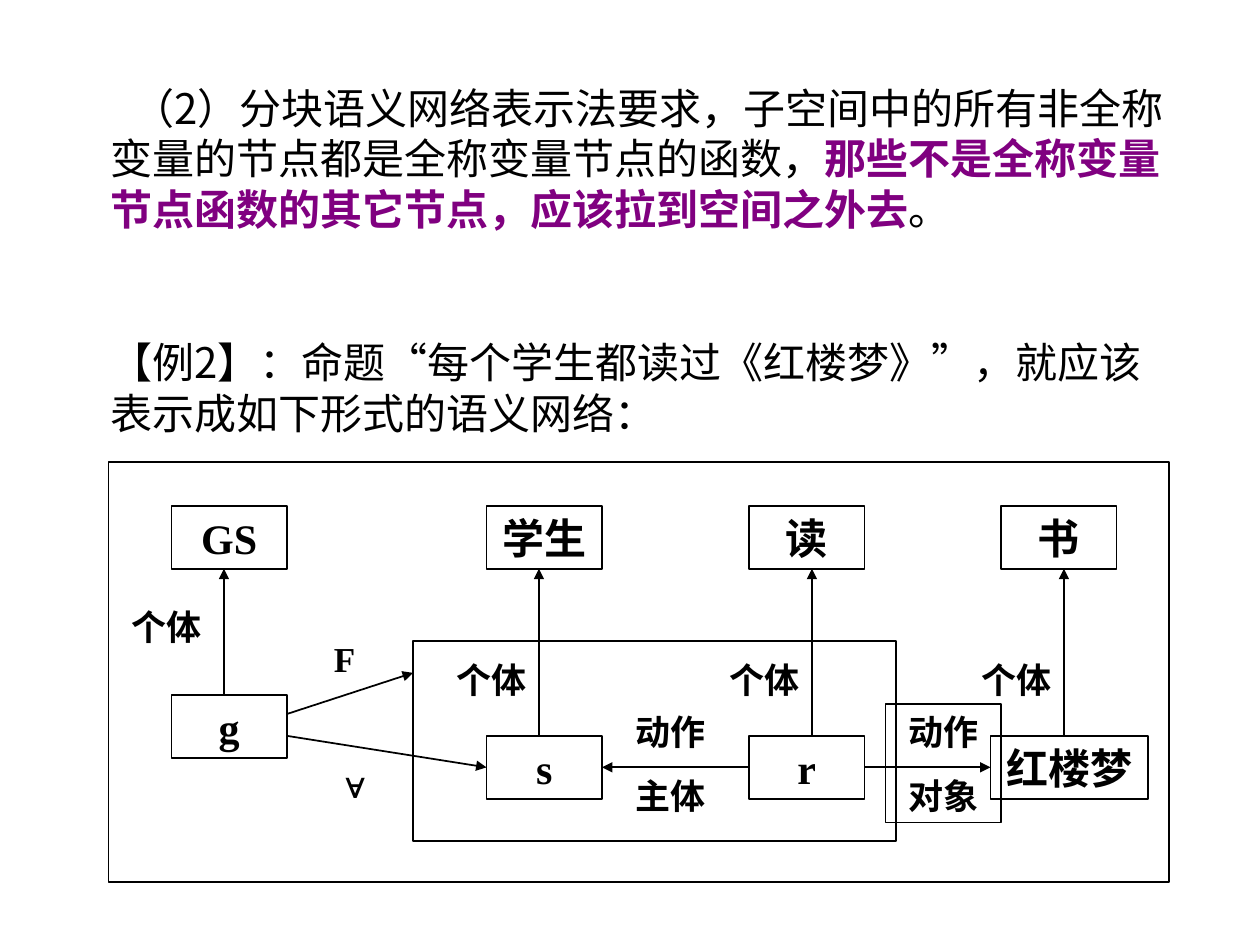
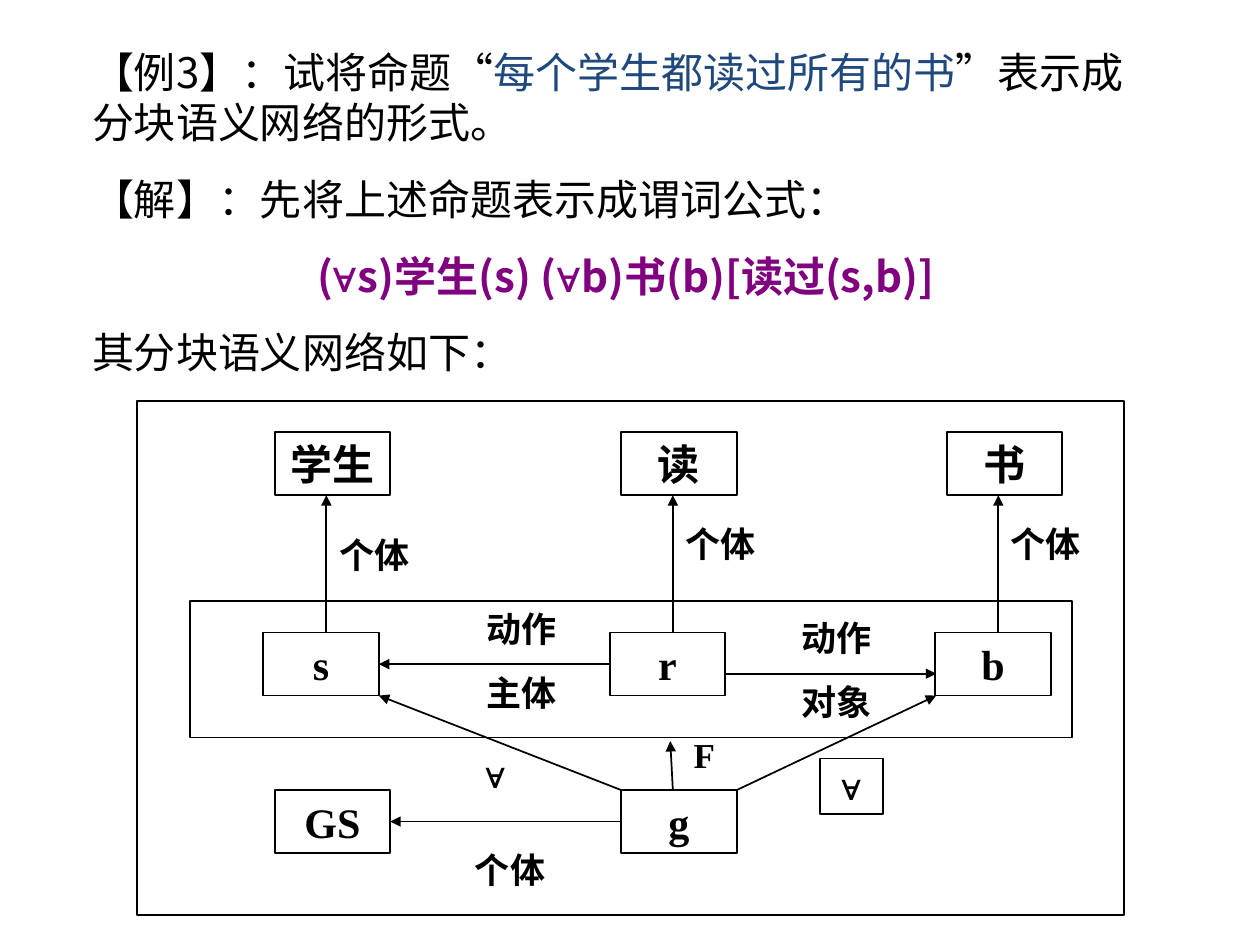
from lxml import etree
from pptx import Presentation
from pptx.dml.color import RGBColor
from pptx.enum.shapes import MSO_CONNECTOR, MSO_SHAPE
from pptx.enum.text import MSO_ANCHOR, PP_ALIGN
from pptx.oxml.ns import qn
from pptx.util import Pt

RECT = MSO_SHAPE.RECTANGLE
STRAIGHT = MSO_CONNECTOR.STRAIGHT
TOP, MIDDLE = MSO_ANCHOR.TOP, MSO_ANCHOR.MIDDLE
LEFT, CENTER = PP_ALIGN.LEFT, PP_ALIGN.CENTER
SIDE_LEFT, SIDE_RIGHT = 1, 3

BLACK, PURPLE, BLUE = "000000", "800080", "1F497D"
BODY, SERIF, SYMBOL = "Noto Sans CJK SC", "Times New Roman", "Arial"
BODY_SIZE, NODE_SIZE, LABEL_SIZE = 24, 24, 20
NODE_W, NODE_H = 66, 36


def rgb(color):
    return RGBColor.from_string(color)


def set_typeface(font, props, latin, asian):
    font.name = latin
    etree.SubElement(props, qn("a:ea")).set("typeface", asian)


class Deck:
    def __init__(self):
        self.prs = Presentation()
        self.prs.slide_width, self.prs.slide_height = Pt(720), Pt(540)
        self.s = None

    def new_slide(self):
        self.s = self.prs.slides.add_slide(self.prs.slide_layouts[6])

    def frame(self, x, y, w, h):
        """Outlined rectangle without fill."""
        sp = self.s.shapes.add_shape(RECT, Pt(x), Pt(y), Pt(w), Pt(h))
        sp.shadow.inherit = False
        sp.fill.background()
        sp.line.color.rgb = rgb(BLACK)
        sp.line.width = Pt(1)
        return sp

    def style(self, p, size, name, bold, align, before):
        p.alignment = align
        p.line_spacing = Pt(1.2 * size)
        p.space_before = Pt(before)
        p.font.size = Pt(size)
        p.font.bold = bold
        p.font.color.rgb = rgb(BLACK)
        props = p._p.pPr.find(qn("a:defRPr"))
        set_typeface(p.font, props, name, SYMBOL if name == SYMBOL else BODY)

    def caption(self, sp, lines, size):
        """Bold centred lines inside a node or a label."""
        tf = sp.text_frame
        tf.word_wrap = True
        tf.vertical_anchor = MIDDLE
        tf.text = "\n".join(lines)
        for i, p in enumerate(tf.paragraphs):
            name = SYMBOL if p.text == "∀" else SERIF
            self.style(p, size, name, True, CENTER, 12.5 if i else 0)

    def node(self, text, x, y, w=NODE_W):
        sp = self.frame(x, y, w, NODE_H)
        self.caption(sp, [text], NODE_SIZE)
        return sp

    def label(self, x, y, *lines, w=66, boxed=False):
        box = (x, y, w, 31.5 + 36 * (len(lines) - 1))
        if boxed:
            sp = self.frame(*box)
        else:
            sp = self.s.shapes.add_textbox(*map(Pt, box))
        self.caption(sp, lines, LABEL_SIZE)

    def body(self, x, y, w, h, paragraphs):
        """Each paragraph is (space before, indent, alignment, runs)."""
        tf = self.s.shapes.add_textbox(Pt(x), Pt(y), Pt(w), Pt(h)).text_frame
        tf.word_wrap = True
        tf.vertical_anchor = TOP
        for i, (before, indent, align, runs) in enumerate(paragraphs):
            p = tf.add_paragraph() if i else tf.paragraphs[0]
            self.style(p, BODY_SIZE, BODY, False, align, before)
            if indent:
                p._p.pPr.set("indent", str(Pt(indent)))
            for text, color, bold in runs:
                r = p.add_run()
                r.text = text
                if color != BLACK:
                    r.font.color.rgb = rgb(color)
                if bold:
                    r.font.bold = True
                if text == "∀":
                    set_typeface(r.font, r._r.rPr, SYMBOL, SYMBOL)

    def arrow(self, x1, y1, x2, y2):
        """Line with its arrowhead at the second point."""
        line = self.s.shapes.add_connector(
            STRAIGHT, Pt(x1), Pt(y1), Pt(x2), Pt(y2))
        line.line.color.rgb = rgb(BLACK)
        line.line.width = Pt(1)
        ln = line.line._get_or_add_ln()
        etree.SubElement(ln, qn("a:tailEnd")).set("type", "triangle")
        etree.SubElement(line._element.spPr, qn("a:effectLst"))
        return line

    def link(self, start, start_side, end, end_side):
        """Arrow between the sides of two nodes."""
        line = self.arrow(0, 0, 10, 10)
        line.begin_connect(start, start_side)
        line.end_connect(end, end_side)


def red_chamber_slide(deck):
    deck.new_slide()
    deck.body(56, 43.5, 624, 211, [
        (0, 12.5, LEFT, [
            ("（2）分块语义网络表示法要求，子空间中的所有非全称变量的节点都是全称变量节点的函数，",
             BLACK, False),
            ("那些不是全称变量节点函数的其它节点，应该拉到空间之外去", PURPLE, True),
            ("。", BLACK, False)]),
        (59, 0, LEFT, [
            ("【例2】：命题“每个学生都读过《红楼梦》”，就应该表示成如下形式的语义网络：",
             BLACK, False)]),
    ])

    # Nodes and spaces
    class_y, item_y = 289, 420.5
    for text, x in (("GS", 98), ("学生", 278), ("读", 428), ("书", 572)):
        deck.node(text, x, class_y)
    deck.node("g", 98, 397)
    student = deck.node("s", 278, item_y)
    reading = deck.node("r", 428, item_y)
    novel = deck.node("红楼梦", 566, item_y, 90)
    deck.frame(236, 366.5, 276, 114)
    deck.frame(62, 264, 606, 240)

    # Arrows
    for x, y in ((128, 397), (308, item_y), (464, item_y), (608, item_y)):
        deck.arrow(x, y, x, class_y + NODE_H)
    deck.arrow(164, 408, 236, 384.5)
    deck.arrow(164, 420.5, 278, 438.5).end_connect(student, SIDE_LEFT)
    deck.link(reading, SIDE_LEFT, student, SIDE_RIGHT)
    deck.link(reading, SIDE_RIGHT, novel, SIDE_LEFT)

    # Labels
    for x, y in ((62, 342.5), (248, 372.5), (404, 372.5), (548, 372.5)):
        deck.label(x, y, "个体")
    deck.label(164, 360.5, "F")
    deck.label(170, 432.5, "∀")
    deck.label(350, 402.5, "动作", "主体")
    deck.label(506, 402.5, "动作", "对象", boxed=True)


def all_books_slide(deck):
    deck.new_slide()
    formula = ("(", "∀", "s)学生(s) (", "∀", "b)书(b)[读过(s,b)]")
    deck.body(45.5, 23, 624, 196.5, [
        (0, 0, LEFT, [("【例3】：试将命题“", BLACK, False),
                      ("每个学生都读过所有的书", BLUE, False),
                      ("”表示成分块语义网络的形式。", BLACK, False)]),
        (15, 0, LEFT, [("【解】：先将上述命题表示成谓词公式：", BLACK, False)]),
        (15, 0, CENTER, [(part, PURPLE, True) for part in formula]),
        (15, 0, LEFT, [("其分块语义网络如下：", BLACK, False)]),
    ])

    # Nodes and spaces
    class_y, item_y, general_y = 247, 361.5, 451.5
    columns = (157, 355, 541)
    for text, x in zip(("学生", "读", "书"), columns):
        deck.node(text, x, class_y)
    student, reading, book = [
        deck.node(text, x - 6.5, item_y) for text, x in zip("srb", columns)]
    general = deck.node("GS", columns[0], general_y)
    g = deck.node("g", columns[1], general_y)
    deck.frame(108.5, 343.5, 504, 78)
    deck.frame(78.5, 229, 564, 294)

    # Arrows
    for x in columns:
        deck.arrow(x + 29.5, item_y, x + 29.5, class_y + NODE_H)
    deck.link(reading, SIDE_LEFT, student, SIDE_RIGHT)
    deck.arrow(414.5, 385, 535, 385)
    deck.link(g, SIDE_LEFT, general, SIDE_RIGHT)
    deck.arrow(384.5, general_y, 383, 423.5)
    deck.arrow(355, general_y, 216.5, item_y + NODE_H)
    deck.arrow(421, general_y, 535, item_y + NODE_H)

    # Labels
    for x, y in ((181, 301), (379, 295), (564.5, 295), (258.5, 481)):
        deck.label(x, y, "个体")
    deck.label(384.5, 415.5, "F", w=36)
    deck.label(265, 427, "∀", w=36)
    deck.label(468.5, 433.5, "∀", w=36, boxed=True)
    deck.label(265, 343.5, "动作", "主体")
    deck.label(445, 349, "动作", "对象")


def main():
    deck = Deck()
    red_chamber_slide(deck)
    all_books_slide(deck)
    deck.prs.save("out.pptx")


if __name__ == "__main__":
    main()
